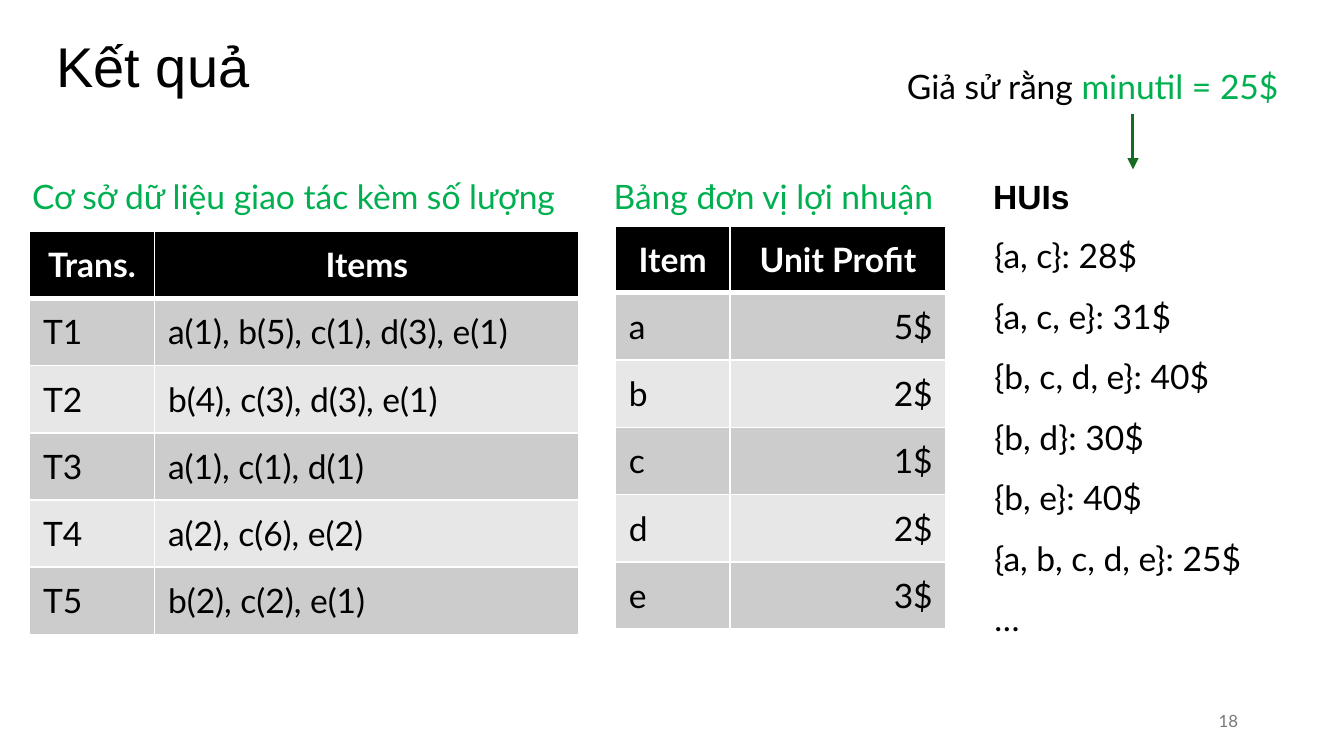
from lxml.etree import SubElement
from pptx import Presentation
from pptx.dml.color import RGBColor as RGB
from pptx.enum.shapes import MSO_CONNECTOR as CONN
from pptx.enum.text import MSO_ANCHOR as ANCHOR, PP_ALIGN as ALIGN
from pptx.oxml.ns import qn
from pptx.util import Inches, Pt

C = {"black": "000000", "white": "FFFFFF", "green": "00B050", "arrow": "196B24",
     "gray": "797979", "band1": "CCCCCC", "band2": "E7E7E7"}


def write(tf, lines, size=18, font="Lato", color="black", bold=False,
          align=ALIGN.LEFT, anchor=ANCHOR.TOP, spacing=None):
    """Fill a text frame; each line is a string or a list of (text, color) runs."""
    tf.word_wrap = True
    tf.vertical_anchor = anchor
    for i, line in enumerate(lines):
        p = tf.paragraphs[0] if i == 0 else tf.add_paragraph()
        p.alignment = align
        if spacing:
            p.line_spacing = spacing
        for text, run_color in [(line, color)] if isinstance(line, str) else line:
            r = p.add_run()
            r.text = text
            r.font.size, r.font.name, r.font.bold = Pt(size), font, bold
            r.font.color.rgb = RGB.from_string(C[run_color])


def border(cell, side, width):
    """Draw one white edge of a cell."""
    ln = SubElement(cell._tc.get_or_add_tcPr(), qn(f"a:ln{side}"), w=str(Pt(width)))
    SubElement(SubElement(ln, qn("a:solidFill")), qn("a:srgbClr"), val=C["white"])


# 16:9 slide
prs = Presentation()
prs.slide_width, prs.slide_height = Inches(10), Inches(10 * 9 / 16)
s = prs.slides.add_slide(prs.slide_layouts[5])

# Title
title = s.shapes.title
title.left, title.top, title.width, title.height = map(Inches, (0.32, 0.19, 9.88, 0.66))
write(title.text_frame, ["Kết quả"], size=30, font="Arial", anchor=ANCHOR.MIDDLE, spacing=0.9)

# Tables: position, column widths, alignment of the second column, rows
transactions = [("Trans.", "Items"),
                ("T1", "a(1), b(5), c(1), d(3), e(1)"),
                ("T2", "b(4), c(3), d(3), e(1)"),
                ("T3", "a(1), c(1), d(1)"),
                ("T4", "a(2), c(6), e(2)"),
                ("T5", "b(2), c(2), e(1)")]
profits = [("Item", "Unit Profit"), ("a", "5$"), ("b", "2$"), ("c", "1$"),
           ("d", "2$"), ("e", "3$")]
for left, top, widths, second_align, rows in [
        (0.22, 1.72, (0.93, 3.16), ALIGN.LEFT, transactions),
        (4.58, 1.68, (0.85, 1.61), ALIGN.RIGHT, profits)]:
    table = s.shapes.add_table(len(rows), len(widths), Inches(left), Inches(top),
                               Inches(sum(widths)), Inches(0.5 * len(rows))).table
    for column, width in zip(table.columns, widths):
        column.width = Inches(width)
    for i, row in enumerate(rows):
        header = i == 0
        for j, text in enumerate(row):
            cell = table.cell(i, j)
            for side in "LRTB":
                thick = (side == "B" and i == 0) or (side == "T" and i == 1)
                border(cell, side, 3 if thick else 1)
            cell.fill.solid()
            fill = "black" if header else "band1" if i % 2 else "band2"
            cell.fill.fore_color.rgb = RGB.from_string(C[fill])
            align = ALIGN.CENTER if header else second_align if j else ALIGN.LEFT
            write(cell.text_frame, [text], color="white" if header else "black",
                  bold=header, align=align)
            cell.vertical_anchor = ANCHOR.MIDDLE

# Captions, threshold, HUI list and page number
huis = ["{a, c}: 28$", "{a, c, e}: 31$", "{b, c, d, e}: 40$", "{b, d}: 30$",
        "{b, e}: 40$", "{a, b, c, d, e}: 25$", "…"]
for box, lines, style in [
        ((0.14, 1.26, 4.41, 0.4), ["Cơ sở dữ liệu giao tác kèm số lượng"], dict(color="green")),
        ((4.44, 1.26, 2.63, 0.4), ["Bảng đơn vị lợi nhuận"],
         dict(color="green", align=ALIGN.CENTER)),
        ((6.65, 0.44, 3.54, 0.4), [[("Giả sử rằng ", "black"), ("minutil = 25$", "green")]], {}),
        ((7.3, 1.55, 2.48, 3.22), huis, dict(spacing=1.5)),
        ((7.29, 1.26, 3.31, 0.4), ["HUIs"], dict(font="Arial", bold=True)),
        ((7.06, 5.21, 2.25, 0.3), ["18"],
         dict(size=9, color="gray", align=ALIGN.RIGHT, anchor=ANCHOR.MIDDLE))]:
    write(s.shapes.add_textbox(*map(Inches, box)).text_frame, lines, **style)

# Arrow from the threshold to the HUI list
arrow = s.shapes.add_connector(CONN.STRAIGHT, Inches(8.43), Inches(0.85),
                               Inches(8.43), Inches(1.26))
arrow.line.color.rgb = RGB.from_string(C["arrow"])
arrow.line.width = Pt(1.6)
SubElement(arrow.line._get_or_add_ln(), qn("a:tailEnd"), type="triangle")
SubElement(arrow._element.spPr, qn("a:effectLst"))

prs.save("out.pptx")
